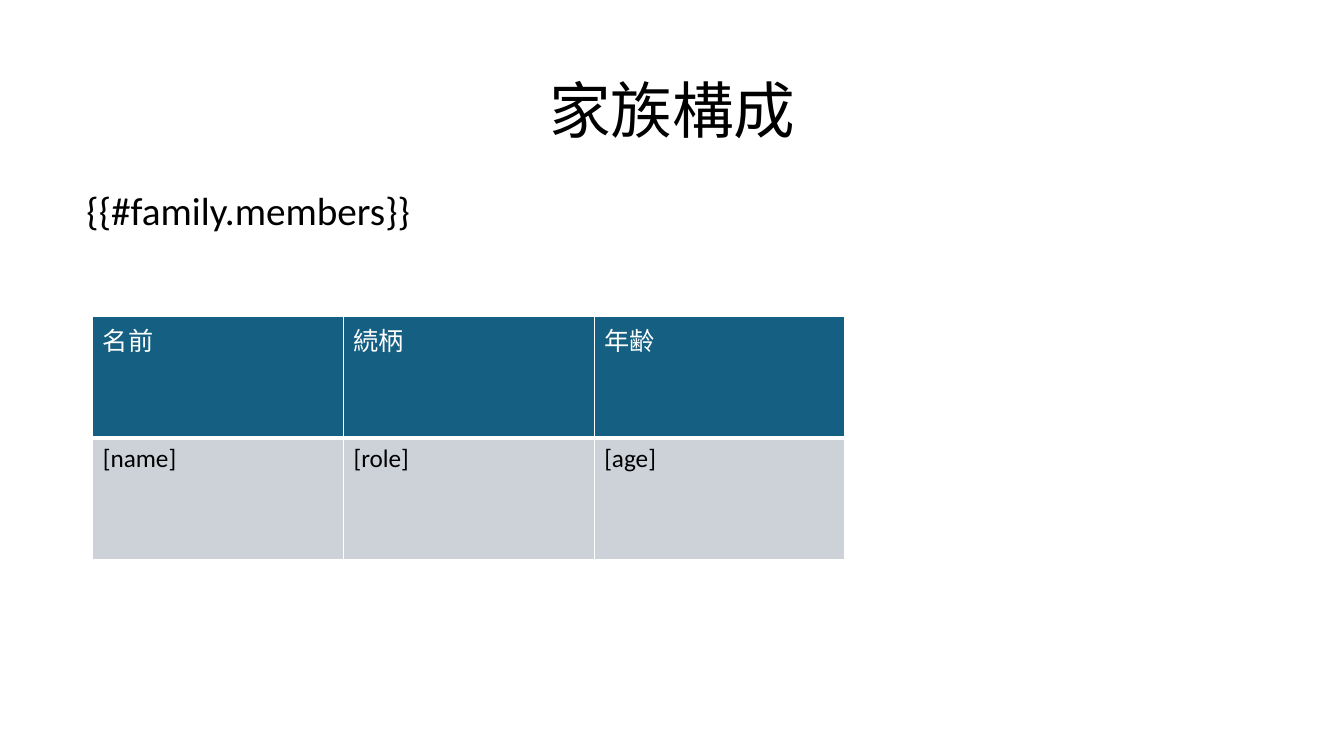
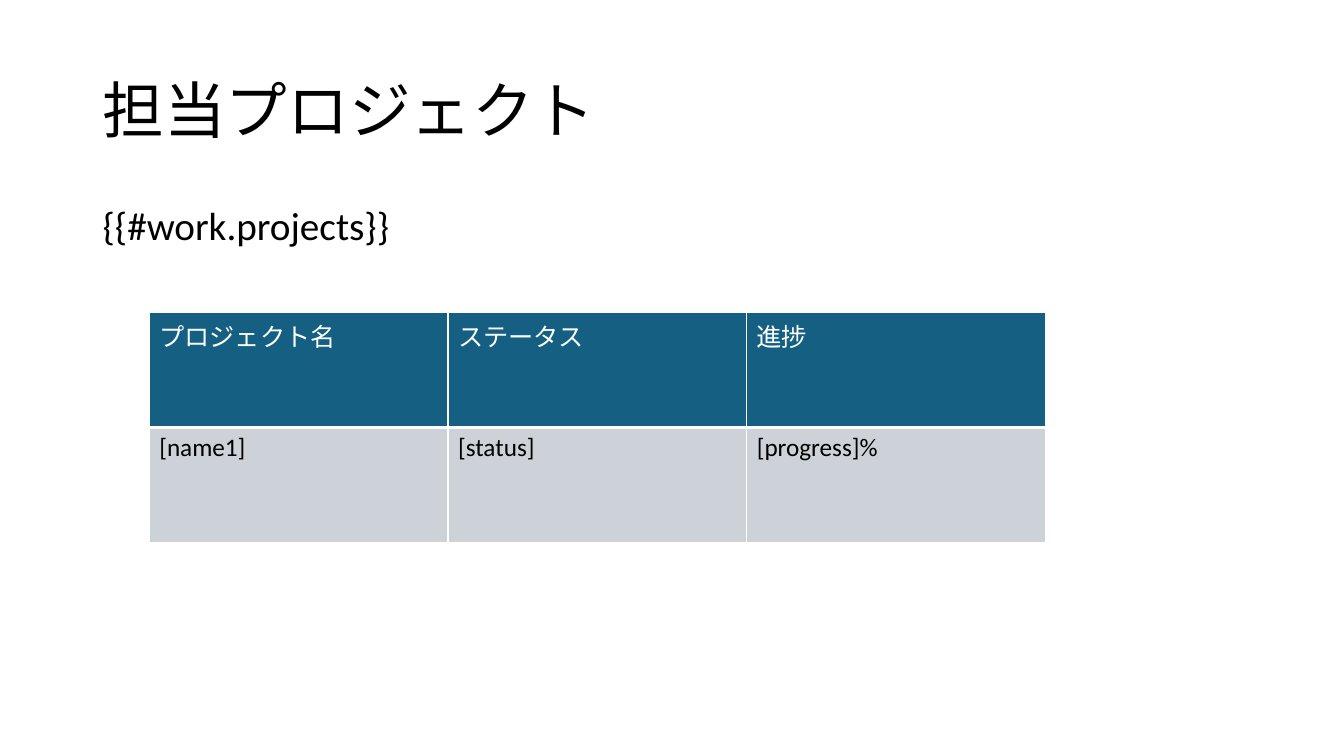
from lxml import etree
from pptx import Presentation
from pptx.dml.color import RGBColor
from pptx.enum.text import MSO_ANCHOR, PP_ALIGN
from pptx.oxml.ns import qn
from pptx.util import Inches, Pt

LEFT, CENTER = PP_ALIGN.LEFT, PP_ALIGN.CENTER
TOP, MIDDLE = MSO_ANCHOR.TOP, MSO_ANCHOR.MIDDLE

BLACK = RGBColor(0x00, 0x00, 0x00)
WHITE = RGBColor(0xFF, 0xFF, 0xFF)
HEADER_FILL = RGBColor(0x15, 0x60, 0x82)
BODY_FILL = RGBColor(0xCC, 0xD2, 0xD8)

LATIN_FONT = "Calibri"
JAPANESE_FONT = "Noto Sans CJK JP"
CHINESE_FONT = "Noto Sans CJK SC"

TITLE_BOX = (0.92, 0.4, 11.5, 1.45)


def format_paragraph(paragraph, font_name, size, color):
    for run in paragraph.runs:
        run.font.name = font_name
        run.font.size = Pt(size)
        run.font.color.rgb = color
        east_asian = etree.SubElement(run.font._element, qn("a:ea"))
        east_asian.set("typeface", font_name)


def add_text(slide, box, text, font_name, size, align=LEFT, anchor=TOP):
    shape = slide.shapes.add_textbox(*map(Inches, box))
    text_frame = shape.text_frame
    text_frame.word_wrap = True
    text_frame.vertical_anchor = anchor
    text_frame.text = text
    paragraph = text_frame.paragraphs[0]
    paragraph.alignment = align
    paragraph.line_spacing = 0.9
    format_paragraph(paragraph, font_name, size, BLACK)


def set_borders(cell, bottom_width):
    properties = cell._tc.get_or_add_tcPr()
    widths = {"a:lnL": 1, "a:lnR": 1, "a:lnT": 1, "a:lnB": bottom_width}
    for tag, width in widths.items():
        line = etree.SubElement(properties, qn(tag), w=str(Pt(width)))
        fill = etree.SubElement(line, qn("a:solidFill"))
        etree.SubElement(fill, qn("a:srgbClr"), val=str(WHITE))


def add_grid(slide, box, rows, header_font):
    left, top, width, height = map(Inches, box)
    table = slide.shapes.add_table(
        len(rows), len(rows[0]), left, top, width, height
    ).table
    table.first_row = False
    table.horz_banding = False
    for row_index, texts in enumerate(rows):
        if row_index == 0:
            font_name, color, fill, bottom_width = header_font, WHITE, HEADER_FILL, 3
        else:
            font_name, color, fill, bottom_width = LATIN_FONT, BLACK, BODY_FILL, 1
        for column_index, text in enumerate(texts):
            cell = table.cell(row_index, column_index)
            set_borders(cell, bottom_width)
            cell.fill.solid()
            cell.fill.fore_color.rgb = fill
            cell.text_frame.text = text
            format_paragraph(cell.text_frame.paragraphs[0], font_name, 18, color)


def add_table_slide(presentation, title, title_align, tag, tag_box,
                    rows, table_box, header_font):
    slide = presentation.slides.add_slide(presentation.slide_layouts[6])
    add_text(slide, TITLE_BOX, title, JAPANESE_FONT, 44, title_align, MIDDLE)
    add_text(slide, tag_box, tag, LATIN_FONT, 28)
    add_grid(slide, table_box, rows, header_font)


def main():
    presentation = Presentation()
    presentation.slide_width = Inches(13.33)
    presentation.slide_height = Inches(7.5)
    add_table_slide(
        presentation, "家族構成", CENTER,
        "{{#family.members}}", (0.76, 1.85, 8.27, 4.76),
        [("名前", "続柄", "年齢"), ("[name]", "[role]", "[age]")],
        (0.92, 3.14, 7.46, 2.41), CHINESE_FONT,
    )
    add_table_slide(
        presentation, "担当プロジェクト", LEFT,
        "{{#work.projects}}", (0.92, 2, 11.5, 4.76),
        [("プロジェクト名", "ステータス", "進捗"),
         ("[name1]", "[status]", "[progress]%")],
        (1.48, 3.1, 8.89, 2.28), JAPANESE_FONT,
    )
    presentation.save("out.pptx")


if __name__ == "__main__":
    main()
